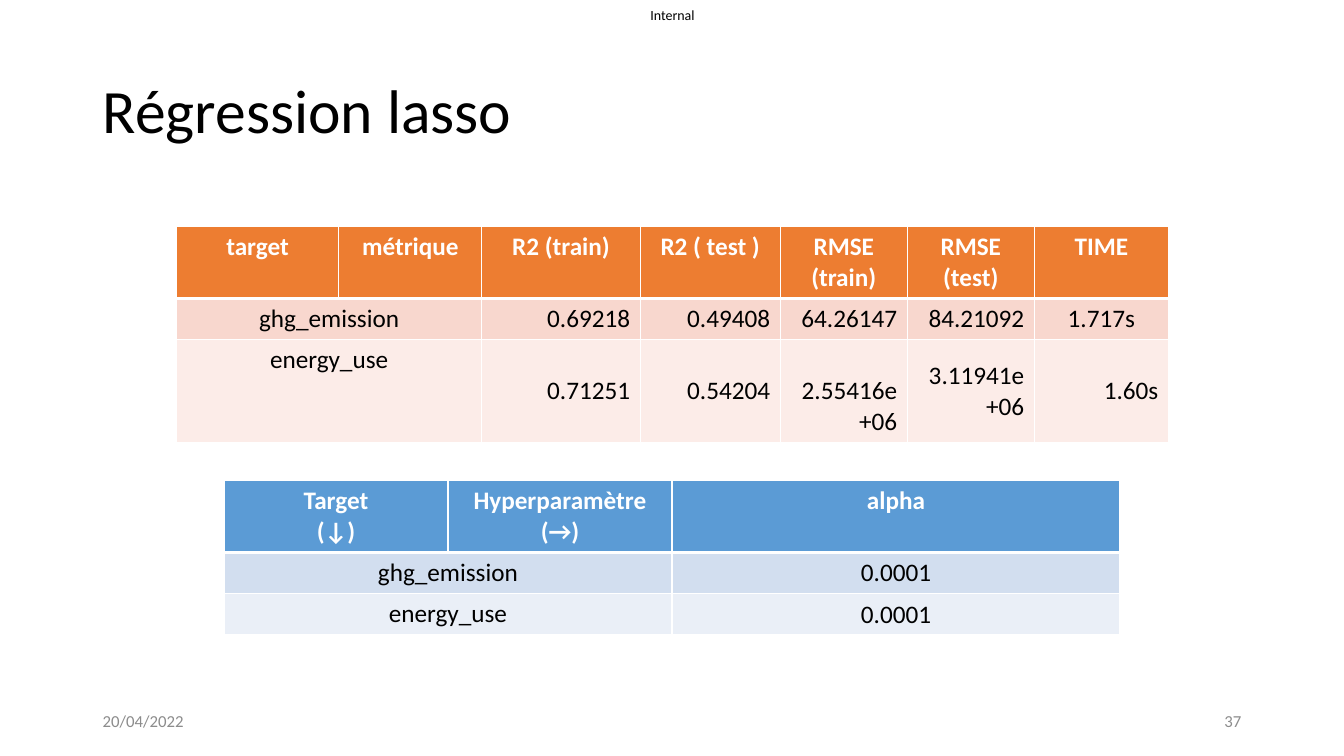
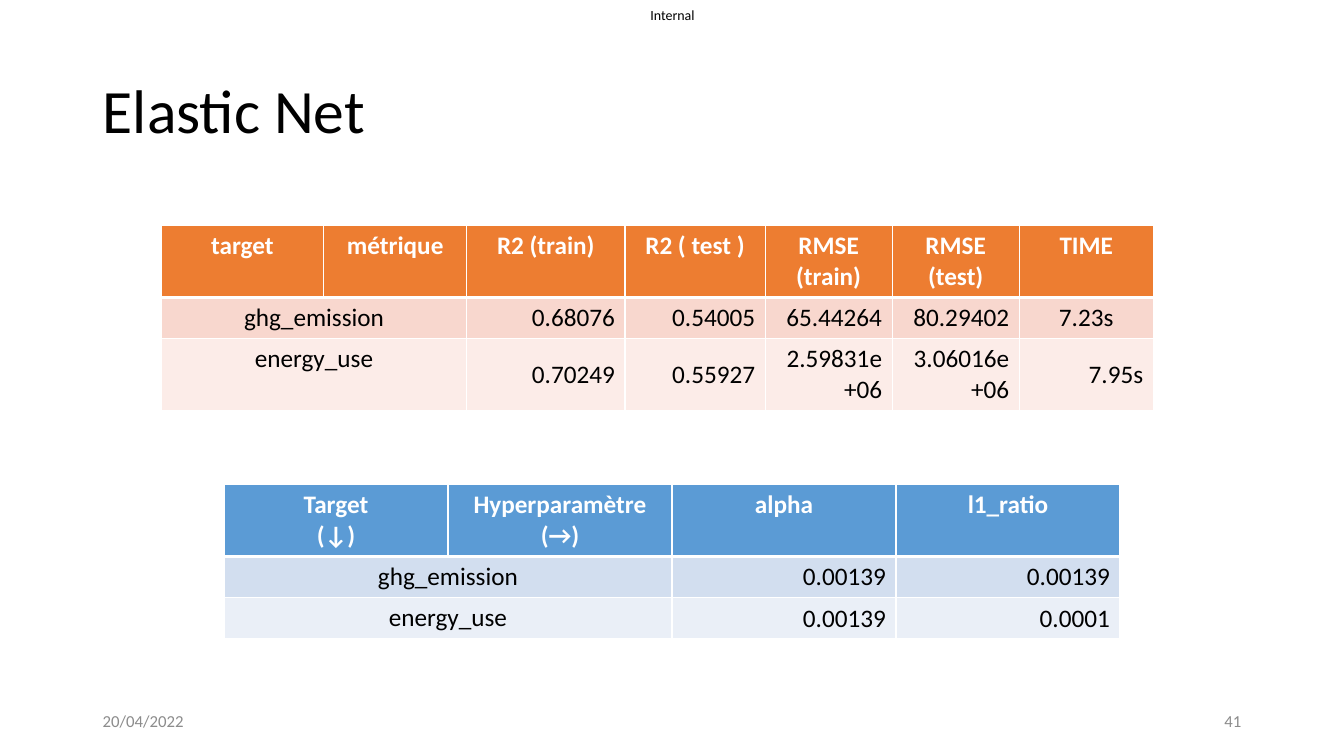
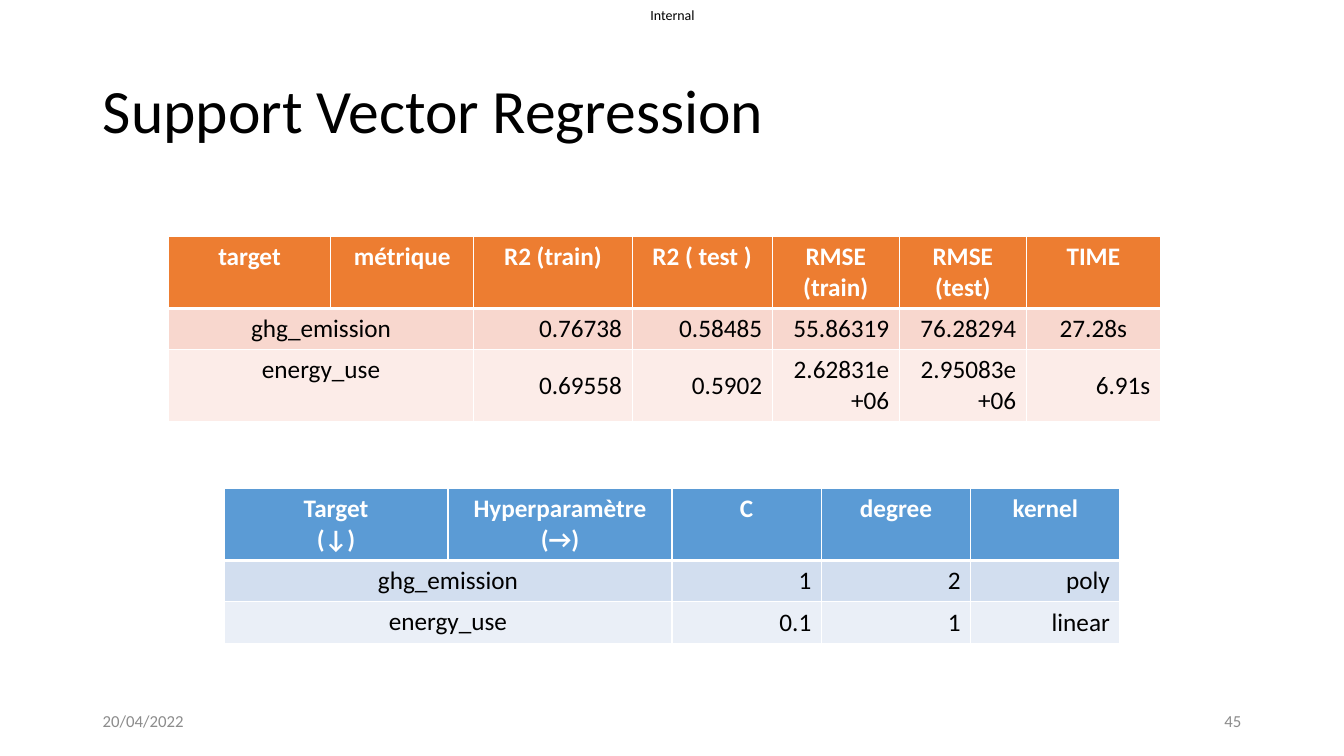
from lxml.etree import SubElement
from pptx import Presentation
from pptx.dml.color import RGBColor as RGB
from pptx.enum.text import MSO_ANCHOR as ANCHOR, PP_ALIGN as ALIGN
from pptx.oxml.ns import qn
from pptx.util import Inches, Pt

W, H = 13.33, 7.5
COLORS = {"text": "000000", "white": "FFFFFF", "muted": "8C8C8C"}
ORANGE = ("ED7D31", "F8D7CE", "FCECE8")  # header, first row, second row
BLUE = ("5B9BD5", "D2DEEF", "EAEFF7")
MARGIN, FOOTER_TOP, FOOTER_W = 0.92, 6.95, 3
LABEL_W = W / 6
HEADER_H, ROW_H = 0.7, 0.41

METRIC_WIDTHS = [1.61, 1.42, 1.57, 1.39, 1.26, 1.26, 1.33]
METRIC_HEADER = ["target", "métrique", "R2 (train)", "R2 ( test )",
                 "RMSE (train)", "RMSE (test)", "TIME"]
PARAM_HEADER = ["Target\n(↓)", "Hyperparamètre\n(→)"]
TARGETS = ["ghg_emission", "energy_use"]

SLIDES = [
    {"title": "Régression lasso", "number": 37,
     "metrics_at": (1.75, 2.25), "last_row_h": 1.02, "params_top": 4.77,
     "metrics": [["0.69218", "0.49408", "64.26147", "84.21092", "1.717s"],
                 ["0.71251", "0.54204", "2.55416e+06", "3.11941e+06", "1.60s"]],
     "param_names": ["alpha"],
     "params": [["0.0001"], ["0.0001"]]},
    {"title": "Elastic Net", "number": 41,
     "metrics_at": (1.6, 2.24), "last_row_h": 0.7, "params_top": 4.81,
     "metrics": [["0.68076", "0.54005", "65.44264", "80.29402", "7.23s"],
                 ["0.70249", "0.55927", "2.59831e+06", "3.06016e+06", "7.95s"]],
     "param_names": ["alpha", "l1_ratio"],
     "params": [["0.00139", "0.00139"], ["0.00139", "0.0001"]]},
    {"title": "Support Vector Regression", "number": 45,
     "metrics_at": (1.67, 2.35), "last_row_h": 0.7, "params_top": 4.85,
     "metrics": [["0.76738", "0.58485", "55.86319", "76.28294", "27.28s"],
                 ["0.69558", "0.5902", "2.62831e+06", "2.95083e+06", "6.91s"]],
     "param_names": ["C", "degree", "kernel"],
     "params": [["1", "2", "poly"], ["0.1", "1", "linear"]]},
]


def write(tf, text, size, color, align, bold=False):
    tf.text = text
    for p in tf.paragraphs:
        p.alignment = align
        p.font.name, p.font.size, p.font.bold = "Calibri", Pt(size), bold
        p.font.color.rgb = RGB.from_string(color)


def add_grid(s, left, top, widths, heights, header, values, fills):
    """Add a table whose target names span the first two columns."""
    rows = [header] + [[name, ""] + row for name, row in zip(TARGETS, values)]
    table = s.shapes.add_table(len(rows), len(widths), Inches(left), Inches(top),
                               Inches(sum(widths)), Inches(sum(heights))).table
    table.horz_banding = False
    for column, width in zip(table.columns, widths):
        column.width = Inches(width)
    for i, row in enumerate(rows):
        table.rows[i].height = Inches(heights[i])
        for j, text in enumerate(row):
            cell = table.cell(i, j)
            tcPr = cell._tc.get_or_add_tcPr()
            for side in "LRTB":
                thick = (i, side) in ((0, "B"), (1, "T"))
                ln = SubElement(tcPr, qn("a:ln" + side), w=str(Pt(3 if thick else 1)))
                SubElement(SubElement(ln, qn("a:solidFill")), qn("a:srgbClr"),
                           val=COLORS["white"])
            cell.fill.solid()
            cell.fill.fore_color.rgb = RGB.from_string(fills[i])
            is_value = i > 0 and j > 1
            if text:
                write(cell.text_frame, text, 18, COLORS["text" if i else "white"],
                      ALIGN.RIGHT if is_value else ALIGN.CENTER, bold=i == 0)
            cell.vertical_anchor = ANCHOR.MIDDLE if is_value else ANCHOR.TOP
        if i:
            table.cell(i, 0).merge(table.cell(i, 1))
    return table


prs = Presentation()
prs.slide_width, prs.slide_height = Inches(W), Inches(H)

for data in SLIDES:
    s = prs.slides.add_slide(prs.slide_layouts[5])

    title = s.shapes.title
    title.left, title.top = Inches(MARGIN), Inches(0.4)
    title.width, title.height = Inches(W - 2 * MARGIN), Inches(1.45)
    write(title.text_frame, data["title"], 44, COLORS["text"], ALIGN.LEFT)
    title.text_frame.vertical_anchor = ANCHOR.MIDDLE
    title.text_frame.paragraphs[0].line_spacing = 0.9

    left, top = data["metrics_at"]
    metrics = add_grid(s, left, top, METRIC_WIDTHS,
                       [HEADER_H, ROW_H, data["last_row_h"]],
                       METRIC_HEADER, data["metrics"], ORANGE)
    first_time = metrics.cell(1, 6)
    first_time.vertical_anchor = ANCHOR.TOP
    first_time.text_frame.paragraphs[0].alignment = ALIGN.CENTER
    if data["last_row_h"] > HEADER_H:
        metrics.cell(2, 4).vertical_anchor = ANCHOR.BOTTOM

    names = data["param_names"]
    widths = [LABEL_W] * 2 + [2 * LABEL_W / len(names)] * len(names)
    params = add_grid(s, LABEL_W, data["params_top"], widths,
                      [HEADER_H, ROW_H, ROW_H],
                      PARAM_HEADER + names, data["params"], BLUE)
    if len(names) == 1:
        for i in (1, 2):
            params.cell(i, 2).text_frame.paragraphs[0].alignment = ALIGN.CENTER

    for text, box, size, color, align in (
            ("Internal", (6.3, 0, 0.74, 0.29), 10, "text", ALIGN.CENTER),
            ("20/04/2022", (MARGIN, FOOTER_TOP, FOOTER_W, 0.4), 12, "muted", ALIGN.LEFT),
            (str(data["number"]), (W - MARGIN - FOOTER_W, FOOTER_TOP, FOOTER_W, 0.4),
             12, "muted", ALIGN.RIGHT)):
        tf = s.shapes.add_textbox(*map(Inches, box)).text_frame
        tf.word_wrap = True
        tf.vertical_anchor = ANCHOR.MIDDLE
        if text == "Internal":
            tf.margin_left = tf.margin_right = tf.margin_top = tf.margin_bottom = 0
        write(tf, text, size, COLORS[color], align)

prs.save("out.pptx")
